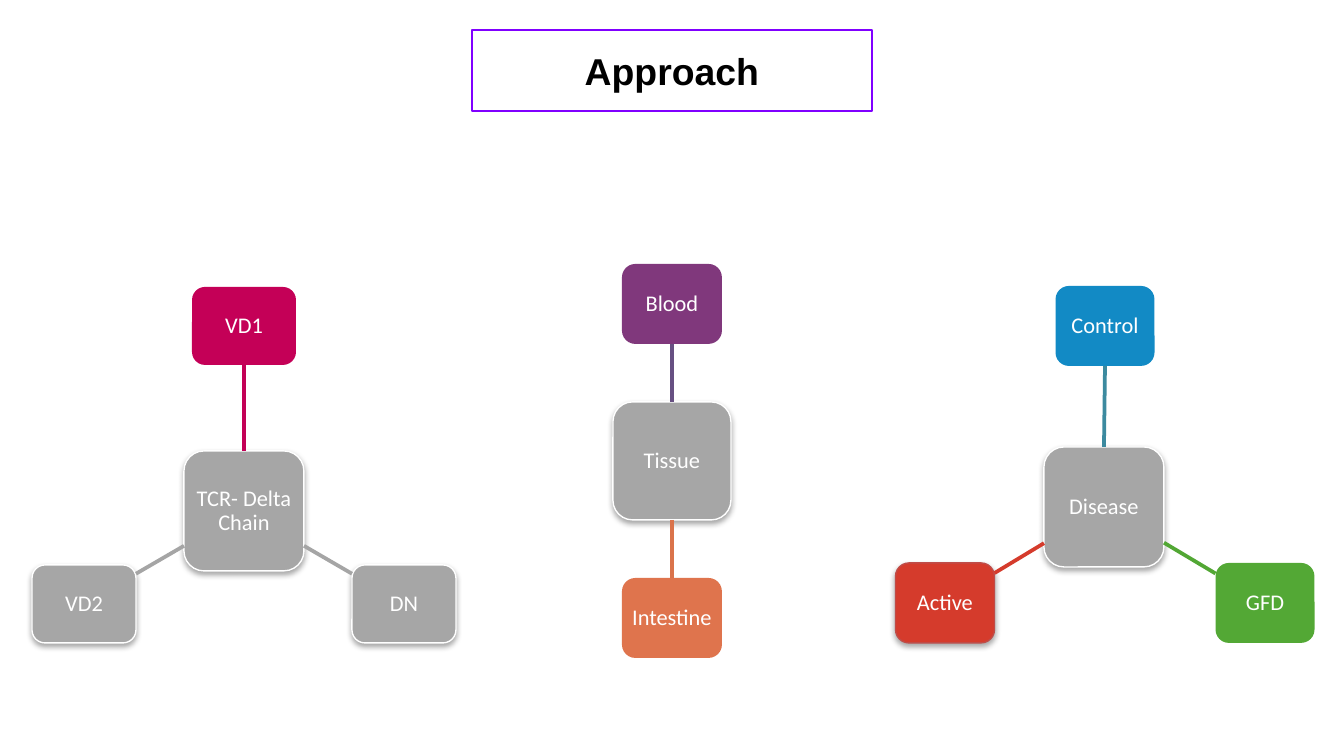
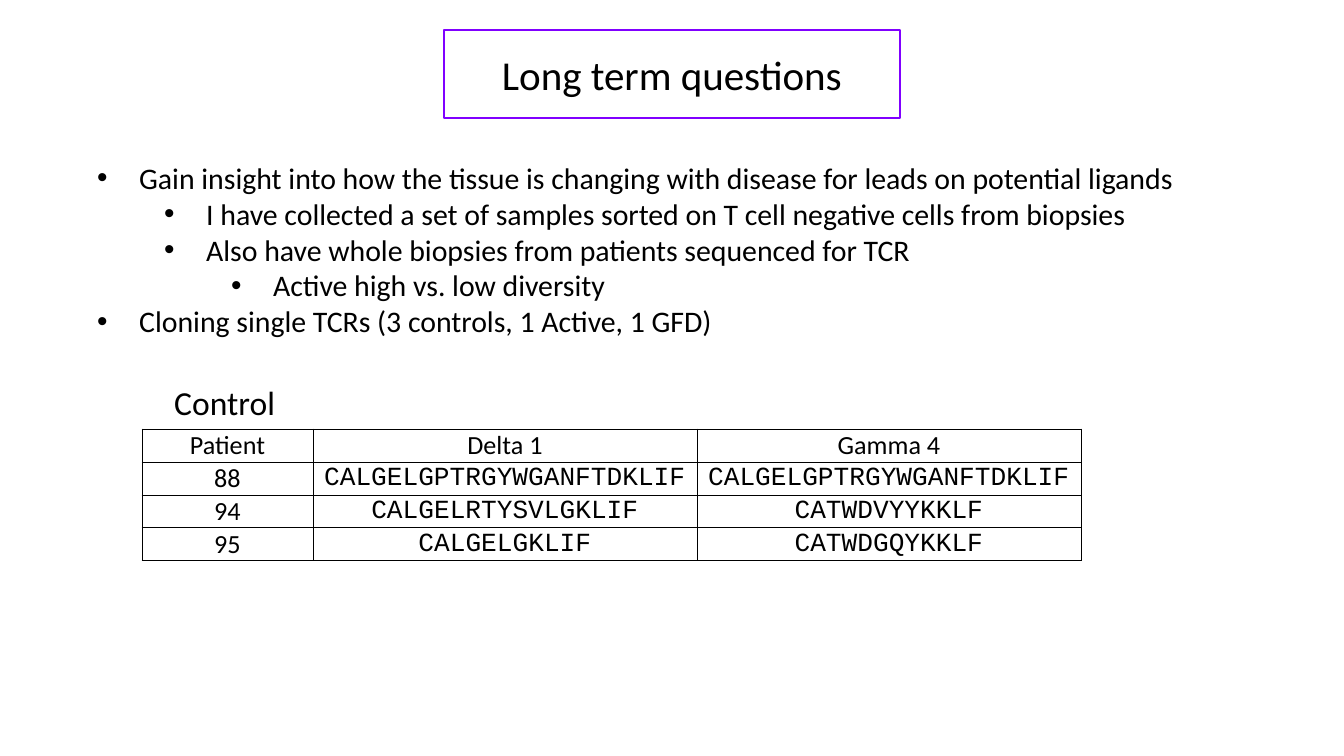
from lxml import etree
from pptx import Presentation, util as u
from pptx.dml.color import RGBColor
from pptx.enum import shapes, text
from pptx.oxml import ns

EMU_PER_PX = 914400 / 134.4
THEME = {
    "ink": "000000", "paper": "FFFFFF", "frame": "8000FF", "neutral": "A6A6A6",
    "neutral_link": "A5A5A5", "raised_edge": "FFFFFF",
    "heading": {"name": "Arial", "size": u.Pt(20), "bold": True},
    "question": {"name": "Calibri", "size": u.Pt(22)},
    "node": {"name": "Calibri", "size": u.Pt(12)},
    "body": {"name": "Calibri", "size": u.Pt(16)},
    "caption": {"name": "Calibri", "size": u.Pt(18)},
    "cell": {"name": "Calibri", "size": u.Pt(14)},
    "sequence": {"name": "Courier New", "size": u.Pt(14)},
}
CENTER, LEFT = text.PP_ALIGN.CENTER, text.PP_ALIGN.LEFT
MIDDLE = text.MSO_ANCHOR.MIDDLE


def px(length):
    return u.Emu(round(length * EMU_PER_PX))


def write(box, lines, style, color=THEME["ink"], align=CENTER, spacing=1.0, **layout):
    """Fill a text frame or a table cell with one paragraph per line."""
    for key, value in layout.items():
        setattr(box, key, value)
    frame = getattr(box, "text_frame", box)
    for number, line in enumerate(lines):
        paragraph = frame.add_paragraph() if number else frame.paragraphs[0]
        paragraph.alignment, paragraph.line_spacing = align, spacing
        run = paragraph.add_run()
        run.text = line
        for key, value in THEME[style].items():
            setattr(run.font, key, value)
        run.font.color.rgb = RGBColor.from_string(color)
    return frame.paragraphs


prs = Presentation()
prs.slide_width, prs.slide_height = px(1344), px(756)

# Both slides with their framed titles
slides = []
for title, style, width, height in [("Approach", "heading", 400, 81),
                                    ("Long term questions", "question", 456, 88)]:
    slide = prs.slides.add_slide(prs.slide_layouts[6])
    slides.append(slide)
    banner = slide.shapes.add_shape(shapes.MSO_SHAPE.RECTANGLE,
                                    *map(px, (672 - width / 2, 30, width, height)))
    banner.shadow.inherit = False
    banner.fill.background()
    banner.line.color.rgb = RGBColor.from_string(THEME["frame"])
    banner.line.width = u.Pt(0.75)
    write(banner.text_frame, [title], style, vertical_anchor=MIDDLE, word_wrap=True)
approach, questions = slides

# Approach: hub (label, centre, size), satellite size,
# satellites (label, offset from hub centre, fill, link colour, raised edge)
grey, grey_link, edge = THEME["neutral"], THEME["neutral_link"], THEME["raised_edge"]
diagrams = [
    ("Tissue", (672, 461), 118, (100, 80), [
        ("Blood", (0, -157), "80387C", "675082", None),
        ("Intestine", (0, 157), "DF744D", "DA734B", None)]),
    ("TCR- Delta Chain", (244, 511), 120, (104, 78), [
        ("VD1", (0, -185), "C40057", "C30056", None),
        ("DN", (160, 93), grey, grey_link, edge),
        ("VD2", (-160, 93), grey, grey_link, edge)]),
    ("Disease", (1104, 507), 120, (99, 80), [
        ("Control", (1, -181), "128AC5", "3C8A9F", None),
        ("GFD", (161, 96), "53A835", "52A734", None),
        ("Active", (-159, 96), "D53B2C", "D53B2C", "BF4C48")]),
]
for hub_label, (hub_x, hub_y), hub_size, (width, height), satellites in diagrams:
    hub = None
    hub_entry = (hub_label, (0, 0), grey, None, edge)
    for label, (dx, dy), fill, link_color, node_edge in [hub_entry] + satellites:
        w, h = (width, height) if hub else (hub_size, hub_size)
        node = approach.shapes.add_shape(
            shapes.MSO_SHAPE.ROUNDED_RECTANGLE,
            *map(px, (hub_x + dx - w / 2, hub_y + dy - h / 2, w, h)))
        node.shadow.inherit = False
        node.fill.solid()
        node.fill.fore_color.rgb = RGBColor.from_string(fill)
        if node_edge:
            node.line.color.rgb = RGBColor.from_string(node_edge)
            node.line.width = u.Pt(0.75)
            effects = node._element.spPr.find(ns.qn("a:effectLst"))
            shadow = etree.SubElement(effects, ns.qn("a:outerShdw"), blurRad="40000",
                                      dist="23000", dir="5400000", rotWithShape="0")
            tint = etree.SubElement(shadow, ns.qn("a:srgbClr"), val=THEME["ink"])
            etree.SubElement(tint, ns.qn("a:alpha"), val="35000")
        else:
            node.line.fill.background()
        write(node.text_frame, [label], "node", THEME["paper"], spacing=0.9,
              vertical_anchor=MIDDLE, word_wrap=True, margin_left=px(4),
              margin_right=px(4), margin_top=px(4), margin_bottom=px(4))
        if hub is None:
            hub = node
            continue

        # Side links run along the ray between the two centres
        start = hub_size / 2 / max(abs(dx), abs(dy))
        end = 1 - width / 2 / max(abs(dx), 1)
        link = approach.shapes.add_connector(
            shapes.MSO_CONNECTOR.STRAIGHT,
            *map(px, (hub_x + dx * start, hub_y + dy * start,
                      hub_x + dx * end, hub_y + dy * end)))
        if abs(dx) < abs(dy):
            link.begin_connect(hub, 0 if dy < 0 else 2)
            link.end_connect(node, 2 if dy < 0 else 0)
        link.line.color.rgb = RGBColor.from_string(link_color)
        link.line.width = u.Pt(2)
        etree.SubElement(link._element.spPr, ns.qn("a:effectLst"))

# Long term questions: bullet list
points = [
    (0, "Gain insight into how the tissue is changing with disease for leads on potential ligands"),
    (1, "I have collected a set of samples sorted on T cell negative cells from biopsies"),
    (1, "Also have whole biopsies from patients sequenced for TCR"),
    (2, "Active high vs. low diversity"),
    (0, "Cloning single TCRs (3 controls, 1 Active, 1 GFD)"),
]
goals = questions.shapes.add_textbox(*map(px, (84, 153, 1175, 195)))
paragraphs = write(goals.text_frame, [line for _, line in points], "body",
                   align=LEFT, word_wrap=True)
for paragraph, (level, _) in zip(paragraphs, points):
    paragraph.level = level
    properties = paragraph._p.get_or_add_pPr()
    properties.set("marL", str(px(42 + 67 * level)))
    properties.set("indent", str(px(-42)))
    etree.SubElement(properties, ns.qn("a:buFont"), typeface="Arial")
    etree.SubElement(properties, ns.qn("a:buChar"), char="•")

# Control sequences
caption = questions.shapes.add_textbox(*map(px, (161, 375, 130, 54)))
write(caption.text_frame, ["Control"], "caption", align=LEFT, word_wrap=False)

rows = [
    ("Patient", "Delta 1", "Gamma 4"),
    ("88", "CALGELGPTRGYWGANFTDKLIF", "CALGELGPTRGYWGANFTDKLIF"),
    ("94", "CALGELRTYSVLGKLIF", "CATWDVYYKKLF"),
    ("95", "CALGELGKLIF", "CATWDGQYKKLF"),
]
column_widths = (171, 384, 384)
sequences = questions.shapes.add_table(
    len(rows), len(column_widths),
    *map(px, (142, 429, sum(column_widths), 33 * len(rows)))).table
sequences.first_row = sequences.horz_banding = False
for column, width in zip(sequences.columns, column_widths):
    column.width = px(width)
for r, row in enumerate(rows):
    sequences.rows[r].height = px(33)
    for c, value in enumerate(row):
        cell = sequences.cell(r, c)
        write(cell, [value], "sequence" if r and c else "cell", vertical_anchor=MIDDLE,
              margin_left=px(1), margin_right=px(1), margin_top=px(1), margin_bottom=0)
        borders = cell._tc.get_or_add_tcPr()
        for side in ("lnL", "lnR", "lnT", "lnB"):
            border = etree.SubElement(borders, ns.qn(f"a:{side}"), w=str(u.Pt(0.5)))
            paint = etree.SubElement(border, ns.qn("a:solidFill"))
            etree.SubElement(paint, ns.qn("a:srgbClr"), val=THEME["ink"])
        cell.fill.background()

prs.save("out.pptx")
